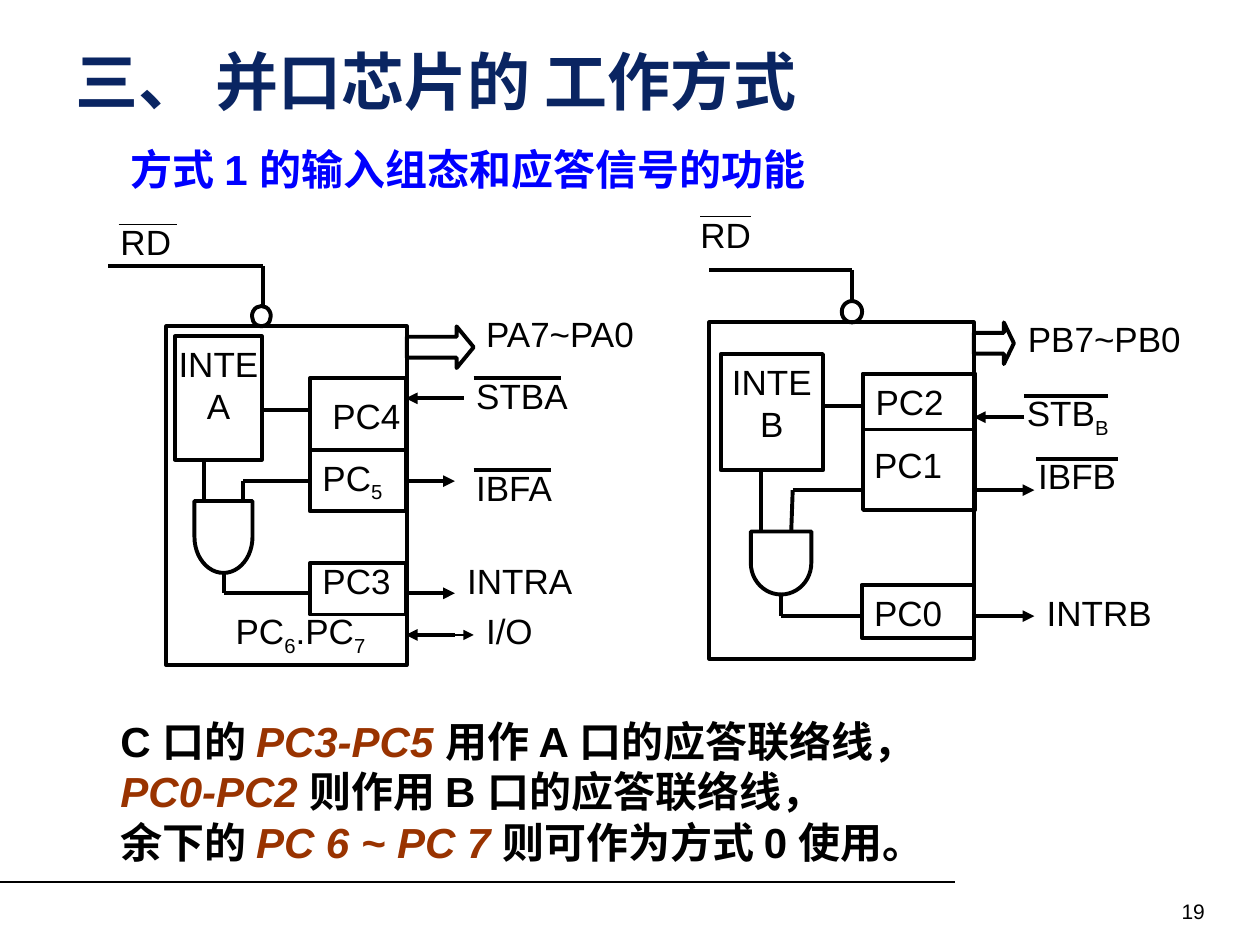
import itertools

import pptx
import pptx.dml.color
import pptx.enum.shapes
import pptx.enum.text
import pptx.oxml
import pptx.oxml.ns
import pptx.util

Cm, Pt = pptx.util.Cm, pptx.util.Pt
RGBColor = pptx.dml.color.RGBColor
SHAPE = pptx.enum.shapes.MSO_SHAPE
ALIGN = pptx.enum.text.PP_ALIGN
ANCHOR = pptx.enum.text.MSO_ANCHOR

BLACK = RGBColor(0x00, 0x00, 0x00)
NAVY = RGBColor(0x0A, 0x25, 0x62)
BLUE = RGBColor(0x00, 0x00, 0xFF)
BROWN = RGBColor(0x99, 0x33, 0x00)
THICK, THIN = 2.25, 0.75
LABEL_H = 1.12

TITLE = "三、 并口芯片的 工作方式"
SUBTITLE = "方式 1 的输入组态和应答信号的功能"
PAGE_NUMBER = "19"
# Text between asterisks is emphasised.
NOTES = [
    "C 口的 *PC3-PC5 *用作 A 口的应答联络线，",
    "*PC0-PC2 *则作用 B 口的应答联络线，",
    "余下的 *PC 6 ~ PC 7 *则可作为方式 0 使用。",
]

# All places are in cm. Boxes: left, top, width, height. Wires and arrows: points.
# Overbars: left, right, y, weight. Labels: text ("_" lowers the next character),
# left, top, width.
PORT_A = {
    "boxes": [(3.35, 6.58, 4.85, 6.83), (6.25, 7.62, 1.93, 2.69), (6.25, 11.35, 1.93, 1.04)],
    "inte": ("INTE\nA", (3.53, 6.78, 1.75, 2.49)),
    "inverter": (5.08, 6.17, 0.38, 0.41),
    "gate": (3.78, 10.24, 1.45, 1.17),
    "bus": ((8.2, 6.58, 1.35, 0.84), 0.41),
    "wires": [
        [(2.18, 5.36), (5.3, 5.36), (5.3, 6.17)],
        [(6.25, 9.07), (8.18, 9.07)],
        [(4.11, 10.11), (4.11, 9.27)],
        [(4.9, 10.11), (4.9, 9.7), (6.25, 9.7)],
        [(4.52, 11.56), (4.52, 11.96), (6.25, 11.96)],
        [(5.28, 8.26), (6.25, 8.26)],
    ],
    "arrows": [
        ((9.35, 8.03), (8.18, 8.03), THICK),
        ((8.18, 9.7), (9.17, 9.7), THICK),
        ((8.18, 11.96), (9.17, 11.96), THICK),
        ((9.17, 12.8), (9.55, 12.8), THIN),
        ((9.17, 12.8), (8.18, 12.8), THICK),
    ],
    "overbars": [(2.39, 3.56, 4.52, THIN), (9.55, 11.3, 7.62, THICK), (9.55, 11.1, 9.47, THICK)],
    "labels": [
        ("RD", 2.18, 4.32, 2.54), ("PA7~PA0", 9.55, 6.17, 4.06),
        ("PC4", 6.45, 7.82, 2.72), ("PC_5", 6.25, 9.07, 1.93),
        ("PC3", 6.25, 11.15, 1.93), ("PC_6.PC_7", 4.5, 12.17, 3.3),
        ("STBA", 9.35, 7.42, 2.9), ("IBFA", 9.35, 9.27, 2.72),
        ("INTRA", 9.17, 11.15, 3.5), ("I/O", 9.55, 12.17, 2.13),
    ],
}
PORT_B = {
    "boxes": [(14.3, 6.5, 5.33, 6.78), (17.4, 7.54, 2.26, 2.74),
              (17.4, 7.54, 2.26, 1.12), (17.37, 11.79, 2.26, 1.07)],
    "inte": ("INTE\nB", (14.53, 7.14, 2.06, 2.34)),
    "inverter": (16.97, 6.07, 0.41, 0.43),
    "gate": (15.11, 10.74, 1.27, 1.22),
    "bus": ((19.63, 6.5, 0.81, 0.84), 0.25),
    "wires": [
        [(14.3, 5.44), (17.17, 5.44), (17.17, 6.07)],
        [(15.34, 10.72), (15.34, 9.45)],
        [(15.95, 10.72), (15.98, 9.88), (17.37, 9.88)],
        [(15.75, 11.99), (15.75, 12.42), (17.37, 12.42)],
        [(16.59, 8.18), (17.4, 8.18)],
    ],
    "arrows": [
        ((20.65, 8.41), (19.63, 8.41), THICK),
        ((19.63, 9.88), (20.85, 9.88), THICK),
        ((19.63, 12.42), (20.85, 12.42), THICK),
    ],
    "overbars": [(14.12, 15.14, 4.37, THIN), (20.65, 22.33, 7.98, THICK),
                 (20.88, 22.53, 9.25, THICK)],
    "labels": [
        ("RD", 13.87, 4.17, 2.68), ("PB7~PB0", 20.47, 6.27, 3.68),
        ("PC2", 17.4, 7.54, 2.26), ("PC1", 17.37, 8.81, 2.26),
        ("PC0", 17.37, 11.79, 2.46), ("STB_B", 20.45, 7.77, 3.07),
        ("IBFB", 20.68, 9.04, 3.48), ("INTRB", 20.85, 11.79, 3.68),
    ],
}


def style_run(r, size, color=BLACK, bold=False, italic=False):
    r.font.name = "Arial"
    r.font.size = Pt(size)
    r.font.color.rgb = color
    r.font.bold = bold
    r.font.italic = italic


def add_run(p, text, *style):
    r = p.add_run()
    r.text = text
    style_run(r, *style)
    return r


def add_text_frame(s, box):
    tf = s.shapes.add_textbox(*map(Cm, box)).text_frame
    tf.word_wrap = True
    return tf


def add_text(s, text, box, *style):
    tf = add_text_frame(s, box)
    tf.text = text
    style_run(tf.paragraphs[0].runs[0], *style)
    return tf


def add_label(s, text, left, top, width):
    p = add_text_frame(s, (left, top, width, LABEL_H)).paragraphs[0]
    first, *lowered = text.split("_")
    add_run(p, first, 20)
    for part in lowered:
        add_run(p, part[0], 20).font._element.set("baseline", "-25000")
        if part[1:]:
            add_run(p, part[1:], 20)


def add_outline(s, kind, box):
    sp = s.shapes.add_shape(kind, *map(Cm, box))
    sp.shadow.inherit = False
    sp.fill.background()
    sp.line.color.rgb = BLACK
    sp.line.width = Pt(THICK)
    return sp


def add_line(s, start, end, weight=THICK, arrow=False):
    line = s.shapes.add_connector(
        pptx.enum.shapes.MSO_CONNECTOR.STRAIGHT, *map(Cm, start + end))
    line.line.color.rgb = BLACK
    line.line.width = Pt(weight)
    sp_pr = line._element.spPr
    if arrow:
        ln = sp_pr.find(pptx.oxml.ns.qn("a:ln"))
        ln.append(pptx.oxml.parse_xml(
            f'<a:tailEnd {pptx.oxml.ns.nsdecls("a")} type="triangle"/>'))
    sp_pr.append(pptx.oxml.parse_xml(f'<a:effectLst {pptx.oxml.ns.nsdecls("a")}/>'))


def add_port(s, port):
    for box in port["boxes"]:
        add_outline(s, SHAPE.RECTANGLE, box)
    add_outline(s, SHAPE.OVAL, port["inverter"])
    add_outline(s, SHAPE.FLOWCHART_DELAY, port["gate"]).rotation = 90
    box, head = port["bus"]
    bus = add_outline(s, SHAPE.RIGHT_ARROW, box)
    bus.adjustments[0], bus.adjustments[1] = 0.5, head

    text, box = port["inte"]
    tf = add_outline(s, SHAPE.RECTANGLE, box).text_frame
    tf.margin_left = tf.margin_right = 0
    tf.vertical_anchor = ANCHOR.TOP
    tf.text = text
    for p in tf.paragraphs:
        p.alignment = ALIGN.CENTER
        style_run(p.runs[0], 20)

    for wire in port["wires"]:
        for start, end in itertools.pairwise(wire):
            add_line(s, start, end)
    for start, end, weight in port["arrows"]:
        add_line(s, start, end, weight, arrow=True)
    for left, right, y, weight in port["overbars"]:
        add_line(s, (left, y), (right, y), weight)
    for label in port["labels"]:
        add_label(s, *label)


def main():
    prs = pptx.Presentation()
    prs.slide_width, prs.slide_height = Cm(25.4), Cm(19.05)
    s = prs.slides.add_slide(prs.slide_layouts[6])

    add_line(s, (0, 17.78), (19.25, 17.78), THIN)
    title = add_text(s, TITLE, (1.27, 0.64, 22.99, 1.96), 36, NAVY, True)
    title.vertical_anchor = ANCHOR.MIDDLE
    number = add_text(s, PAGE_NUMBER, (18.62, 17.98, 5.92, 0.69), 12)
    number.paragraphs[0].alignment = ALIGN.RIGHT
    add_text(s, SUBTITLE, (2.39, 2.77, 18.47, 1.27), 24, BLUE, True)

    tf = add_text_frame(s, (2.18, 14.3, 21.87, 3.3))
    for i, note in enumerate(NOTES):
        p = tf.add_paragraph() if i else tf.paragraphs[0]
        for j, part in enumerate(note.split("*")):
            if part:
                emphasised = j % 2 == 1
                add_run(p, part, 24, BROWN if emphasised else BLACK, True, emphasised)

    for port in (PORT_A, PORT_B):
        add_port(s, port)
    prs.save("out.pptx")


if __name__ == "__main__":
    main()
